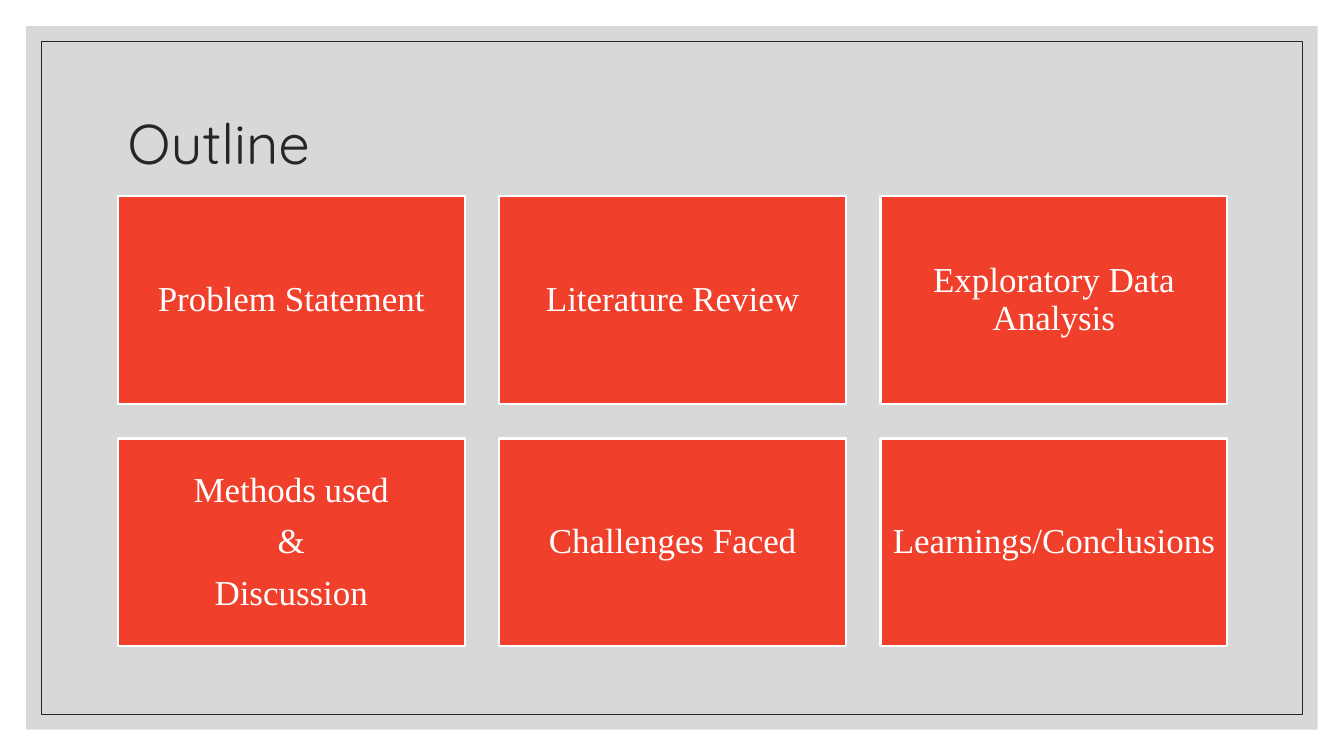
"""Build the outline slide: a framed panel, a title and a grid of six topic cards."""
from lxml.etree import SubElement
from pptx import Presentation
from pptx.dml.color import RGBColor
from pptx.enum.shapes import MSO_SHAPE
from pptx.enum.text import MSO_ANCHOR, PP_ALIGN
from pptx.oxml.ns import qn
from pptx.util import Cm, Pt

TITLE = "Outline"
TOPICS = [
    "Problem Statement",
    "Literature Review",
    "Exploratory Data Analysis",
    "Methods used\n&\nDiscussion",
    "Challenges Faced",
    "Learnings/Conclusions",
]

WHITE = RGBColor(0xFF, 0xFF, 0xFF)
GREY = RGBColor(0xBF, 0xBF, 0xBF)
DARK = RGBColor(0x26, 0x26, 0x26)
RED = RGBColor(0xF0, 0x3F, 0x2B)

SLIDE_WIDTH, SLIDE_HEIGHT = 33.87, 19.05
PANEL_MARGIN, FRAME_MARGIN = 0.66, 1.04
COLUMNS = 3
GRID_LEFT, GRID_TOP = 2.97, 4.94
CARD_WIDTH, CARD_HEIGHT, GAP = 8.74, 5.24, 0.87


def add_rectangle(slide, left, top, width, height, fill=None, line=None, line_width=0):
    shape = slide.shapes.add_shape(
        MSO_SHAPE.RECTANGLE, Cm(left), Cm(top), Cm(width), Cm(height)
    )
    shape.shadow.inherit = False
    if fill is None:
        shape.fill.background()
    else:
        shape.fill.solid()
        shape.fill.fore_color.rgb = fill
    if line is None:
        shape.line.fill.background()
    else:
        shape.line.color.rgb = line
        shape.line.width = Pt(line_width)
    return shape


def add_border_rectangle(slide, margin, **style):
    width, height = SLIDE_WIDTH - 2 * margin, SLIDE_HEIGHT - 2 * margin
    return add_rectangle(slide, margin, margin, width, height, **style)


def set_text(shape, text, font_name, size, color, alignment, space_after=0):
    text_frame = shape.text_frame
    text_frame.word_wrap = True
    text_frame.vertical_anchor = MSO_ANCHOR.MIDDLE
    text_frame.margin_left = text_frame.margin_right = Cm(0.25)
    text_frame.margin_top = text_frame.margin_bottom = Cm(0.25)
    text_frame.text = text
    for paragraph in text_frame.paragraphs:
        paragraph.alignment = alignment
        paragraph.line_spacing = 0.9
        paragraph.space_after = Pt(space_after)
        for run in paragraph.runs:
            run.font.name = font_name
            run.font.size = Pt(size)
            run.font.color.rgb = color


def main():
    presentation = Presentation()
    presentation.slide_width = Cm(SLIDE_WIDTH)
    presentation.slide_height = Cm(SLIDE_HEIGHT)
    slide = presentation.slides.add_slide(presentation.slide_layouts[6])

    panel = add_border_rectangle(slide, PANEL_MARGIN, fill=GREY)
    panel_color = panel.fill._xPr.find(qn("a:solidFill"))[0]
    SubElement(panel_color, qn("a:alpha")).set("val", "60000")
    add_border_rectangle(slide, FRAME_MARGIN, line=DARK, line_width=0.5)

    title = slide.shapes.add_textbox(Cm(GRID_LEFT), Cm(1.78), Cm(27.94), Cm(3.81))
    set_text(title, TITLE, "Quicksand", 40, DARK, PP_ALIGN.LEFT)

    for index, topic in enumerate(TOPICS):
        row, column = divmod(index, COLUMNS)
        card = add_rectangle(
            slide,
            GRID_LEFT + column * (CARD_WIDTH + GAP),
            GRID_TOP + row * (CARD_HEIGHT + GAP),
            CARD_WIDTH,
            CARD_HEIGHT,
            fill=RED,
            line=WHITE,
            line_width=1.5,
        )
        set_text(card, topic, "Times New Roman", 25, WHITE, PP_ALIGN.CENTER, 9.8)

    presentation.save("out.pptx")


if __name__ == "__main__":
    main()
